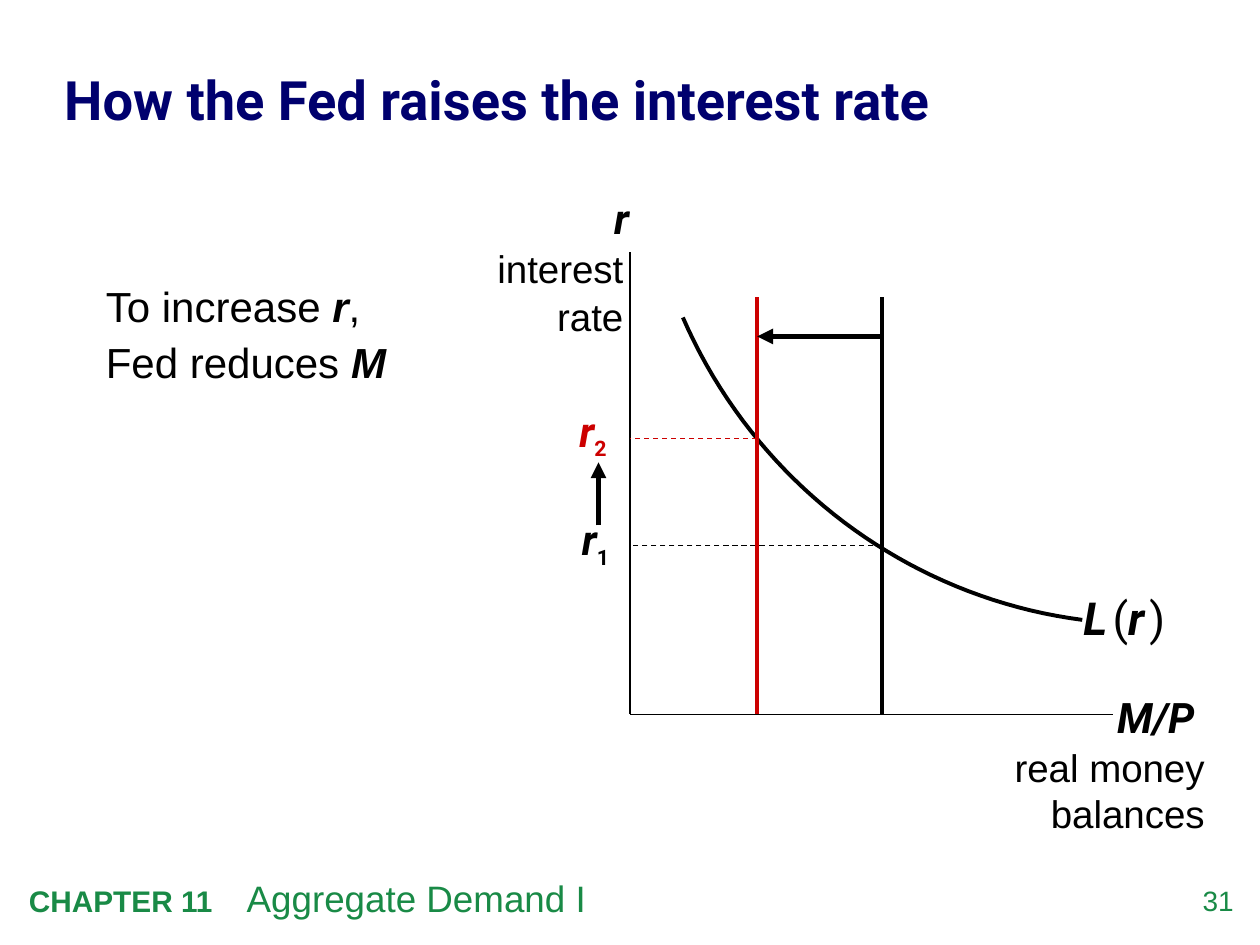
import pptx
import pptx.util
import pptx.dml.color
import pptx.enum.dml
import pptx.enum.shapes
import pptx.enum.text
import pptx.oxml.ns
from dataclasses import dataclass
from lxml import etree
from pptx.util import Inches, Pt

ALIGN = pptx.enum.text.PP_ALIGN
ANCHOR = pptx.enum.text.MSO_ANCHOR
DASH = pptx.enum.dml.MSO_LINE.DASH


@dataclass(frozen=True)
class Theme:
    ink: str = "000000"
    accent: str = "CC0000"
    title: str = "00006E"
    footer: str = "198A46"
    text_font: str = "Arial"
    symbol_font: str = "Roboto"
    title_size: float = 31
    body_size: float = 24
    label_size: float = 22
    curve_label_size: float = 26
    subscript_size: float = 21
    thin_space_size: float = 12
    topic_size: float = 21
    chapter_size: float = 17
    number_size: float = 16


THEME = Theme()
AXIS_LEFT, AXIS_TOP, AXIS_BOTTOM, AXIS_RIGHT = 5, 2, 5.67, 8.83
OLD_SUPPLY, NEW_SUPPLY, SUPPLY_TOP = 7, 6.01, 2.36
OLD_RATE, NEW_RATE = 4.33, 3.48
CURVE = ((8.59, 4.92), (7.2, 4.74), (5.99, 3.83), (5.42, 2.52))


def rgb(color):
    return pptx.dml.color.RGBColor.from_string(color)


def add_child(parent, tag, **attributes):
    return etree.SubElement(parent, pptx.oxml.ns.qn(tag), attributes)


def plain(text, size, color=THEME.ink, bold=False):
    return text, dict(size=Pt(size), name=THEME.text_font, bold=bold, italic=False), color


def symbol(text, size, color=THEME.ink, bold=True, italic=True, font=THEME.symbol_font):
    return text, dict(size=Pt(size), name=font, bold=bold, italic=italic), color


def add_runs(paragraph, runs):
    for text, formats, color in runs:
        run = paragraph.add_run()
        run.text = text
        for name, value in formats.items():
            setattr(run.font, name, value)
        run.font.color.rgb = rgb(color)


def place(shape, box):
    for name, value in zip(("left", "top", "width", "height"), box):
        setattr(shape, name, Inches(value))


def set_frame(frame, margins, anchor=ANCHOR.TOP):
    horizontal, top, bottom = (Inches(margin) for margin in margins)
    formats = dict(word_wrap=True, auto_size=pptx.enum.text.MSO_AUTO_SIZE.NONE,
                   vertical_anchor=anchor, margin_left=horizontal,
                   margin_right=horizontal, margin_top=top, margin_bottom=bottom)
    for name, value in formats.items():
        setattr(frame, name, value)


def add_tab(paragraph, position, alignment):
    tabs = add_child(paragraph._p.get_or_add_pPr(), "a:tabLst")
    add_child(tabs, "a:tab", pos=str(Inches(position)), algn=alignment)


def add_text(slide, box, paragraphs, align=ALIGN.LEFT, margins=(0.1, 0.05, 0.05)):
    frame = slide.shapes.add_textbox(*map(Inches, box)).text_frame
    set_frame(frame, margins)
    for index, runs in enumerate(paragraphs):
        paragraph = frame.add_paragraph() if index else frame.paragraphs[0]
        paragraph.alignment = align
        if index:
            paragraph.space_before = Pt(1)
        add_runs(paragraph, runs)
    return frame


def fill_placeholder(placeholder, box, runs, line_spacing, margins, anchor):
    place(placeholder, box)
    set_frame(placeholder.text_frame, margins, anchor)
    paragraph = placeholder.text_frame.paragraphs[0]
    paragraph.alignment = ALIGN.LEFT
    paragraph.line_spacing = line_spacing
    paragraph.space_before = Pt(0)
    properties = paragraph._p.get_or_add_pPr()
    properties.set("marL", "0")
    properties.set("indent", "0")
    add_child(properties, "a:buNone")
    add_runs(paragraph, runs)


def add_line(slide, start, end, width, color=THEME.ink, dash=None, arrow=False):
    connector = slide.shapes.add_connector(
        pptx.enum.shapes.MSO_CONNECTOR.STRAIGHT, *map(Inches, start + end))
    connector.line.width = Pt(width)
    connector.line.color.rgb = rgb(color)
    if dash:
        connector.line.dash_style = dash
    if arrow:
        add_child(connector.line._get_or_add_ln(), "a:tailEnd", type="triangle")
    add_child(connector._element.spPr, "a:effectLst")


def bezier_point(t):
    weights = ((1 - t) ** 3, 3 * t * (1 - t) ** 2, 3 * t ** 2 * (1 - t), t ** 3)
    return tuple(Inches(sum(w * point[axis] for w, point in zip(weights, CURVE)))
                 for axis in (0, 1))


def add_demand_curve(slide, steps=40):
    points = [bezier_point(step / steps) for step in range(steps + 1)]
    builder = slide.shapes.build_freeform(*points[0])
    builder.add_line_segments(points[1:], close=False)
    curve = builder.convert_to_shape()
    curve.shadow.inherit = False
    curve.fill.background()
    curve.line.width = Pt(2.25)
    curve.line.color.rgb = rgb(THEME.ink)


def add_rate_label(slide, left, top, number, color):
    runs = [symbol("r", THEME.body_size, color),
            symbol(number, THEME.subscript_size, color, italic=False)]
    frame = add_text(slide, (left, top, 0.58, 0.55), [runs], margins=(0.1, 0.05, 0.1))
    frame.paragraphs[0].runs[1]._r.get_or_add_rPr().set("baseline", "-25000")


def add_footer(slide):
    add_text(slide, (9.24, 7.01, 0.55, 0.32),
             [[plain("31", THEME.number_size, THEME.footer)]], ALIGN.RIGHT, (0, 0, 0))
    frame = add_text(slide, (0.13, 6.9, 8.18, 0.45), [[
        plain("CHAPTER 11\t", THEME.chapter_size, THEME.footer, bold=True),
        plain("Aggregate Demand I", THEME.topic_size, THEME.footer)]])
    add_tab(frame.paragraphs[0], 1.73, "l")


def add_axes(slide):
    origin = (AXIS_LEFT, AXIS_BOTTOM)
    add_line(slide, (AXIS_LEFT, AXIS_TOP), origin, 1)
    add_line(slide, origin, (AXIS_RIGHT, AXIS_BOTTOM), 1)
    add_text(slide, (7.83, 5.44, 1.83, 1.25),
             [[symbol("M/P ", THEME.body_size)],
              [plain("real money balances", THEME.label_size)]], ALIGN.RIGHT)
    frame = add_text(slide, (3.67, 1.48, 1.42, 1.27),
                     [[symbol("r", THEME.body_size)],
                      [plain("\tinterest", THEME.label_size)],
                      [plain("\trate", THEME.label_size)]])
    frame.paragraphs[0].alignment = ALIGN.RIGHT
    for paragraph in frame.paragraphs[1:]:
        add_tab(paragraph, 1.18, "r")


def add_equilibrium(slide, supply, rate, color):
    """Draw a money supply line and the dashed line to its interest rate."""
    add_line(slide, (supply, AXIS_BOTTOM), (supply, SUPPLY_TOP), 2.25, color)
    add_line(slide, (supply, rate), (AXIS_LEFT, rate), 0.75, color, DASH)


def add_curve_label(slide):
    size, gap = THEME.curve_label_size, symbol(" ", THEME.thin_space_size)
    upright = dict(bold=False, italic=False)
    add_text(slide, (8.5, 4.63, 1.08, 0.53), [[
        symbol("L", size), gap, symbol("(", size, **upright),
        symbol("r", size), gap, symbol(")", size, **upright)]])


def main():
    presentation = pptx.Presentation()
    presentation.slide_width, presentation.slide_height = Inches(10), Inches(7.5)
    slide = presentation.slides.add_slide(presentation.slide_layouts[1])
    add_footer(slide)
    fill_placeholder(
        slide.shapes.title, (0.51, 0.26, 9.02, 1.03),
        [symbol("How the Fed raises the interest rate", THEME.title_size,
                THEME.title, italic=False)], 1.05, (0, 0, 0), ANCHOR.MIDDLE)
    size, font = THEME.body_size, THEME.text_font
    fill_placeholder(
        slide.placeholders[1], (0.69, 2.09, 2.75, 1.17),
        [plain("To increase ", size), symbol("r", size, font=font),
         plain(", Fed reduces ", size), symbol("M", size, font=font)],
        1.1, (0.15, 0.1, 0.1), ANCHOR.TOP)
    add_axes(slide)
    add_demand_curve(slide)
    add_curve_label(slide)
    add_equilibrium(slide, OLD_SUPPLY, OLD_RATE, THEME.ink)
    add_rate_label(slide, 4.52, 4.03, "1", THEME.ink)
    add_equilibrium(slide, NEW_SUPPLY, NEW_RATE, THEME.accent)
    add_rate_label(slide, 4.5, 3.17, "2", THEME.accent)
    add_line(slide, (OLD_SUPPLY, 2.67), (NEW_SUPPLY, 2.67), 3, arrow=True)
    add_line(slide, (4.75, 4.17), (4.75, 3.67), 3, arrow=True)
    presentation.save("out.pptx")


if __name__ == "__main__":
    main()
